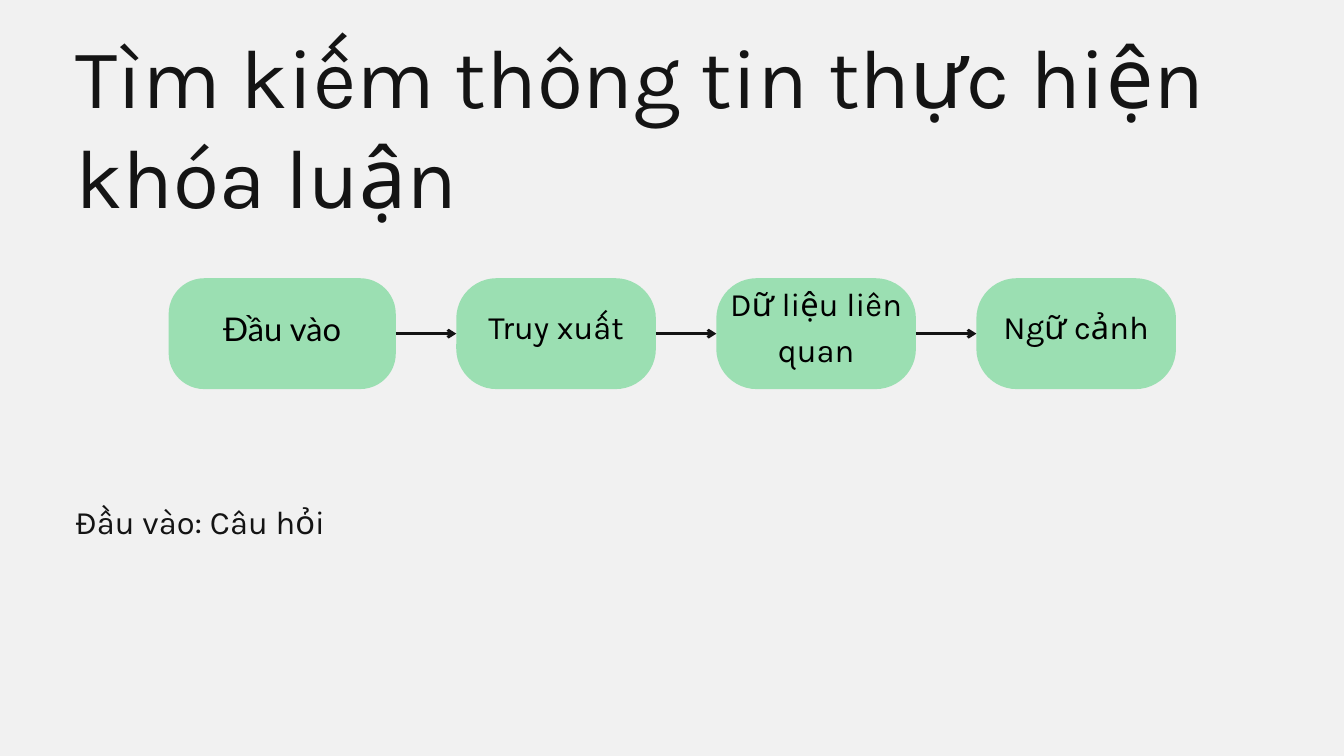
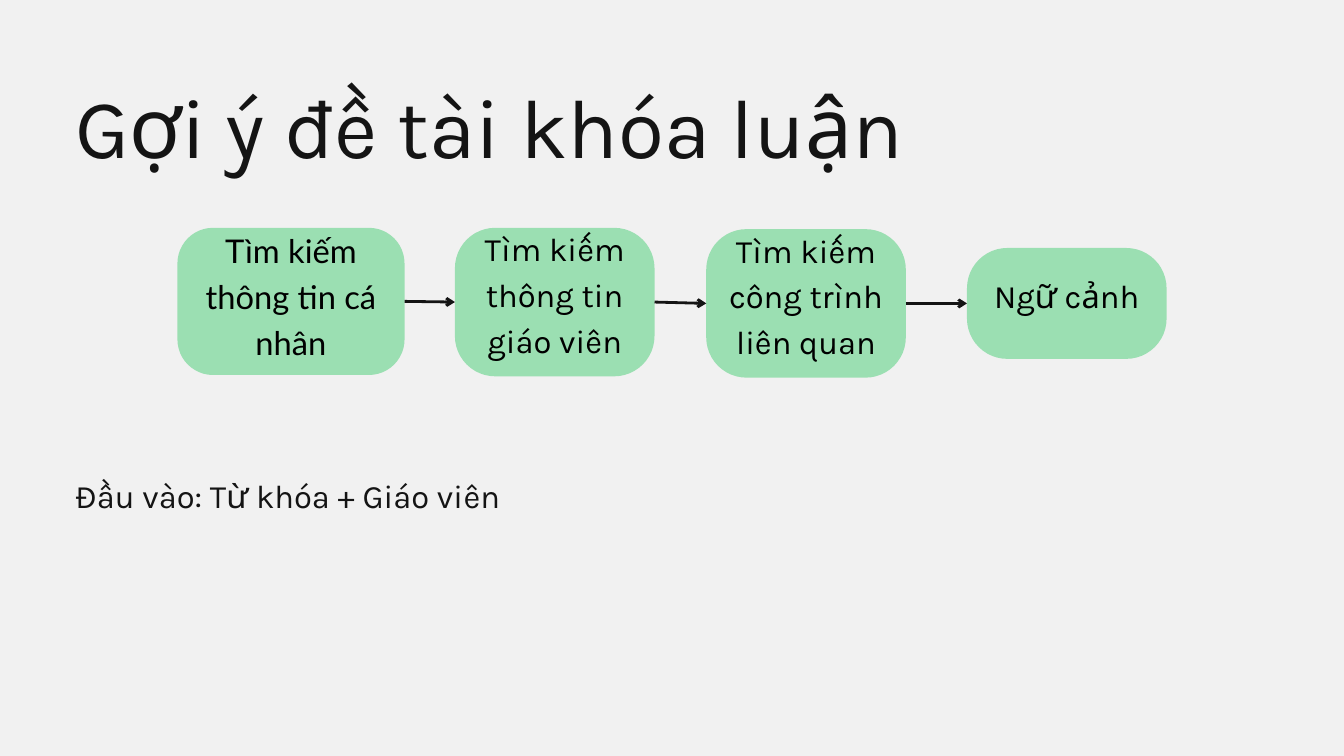
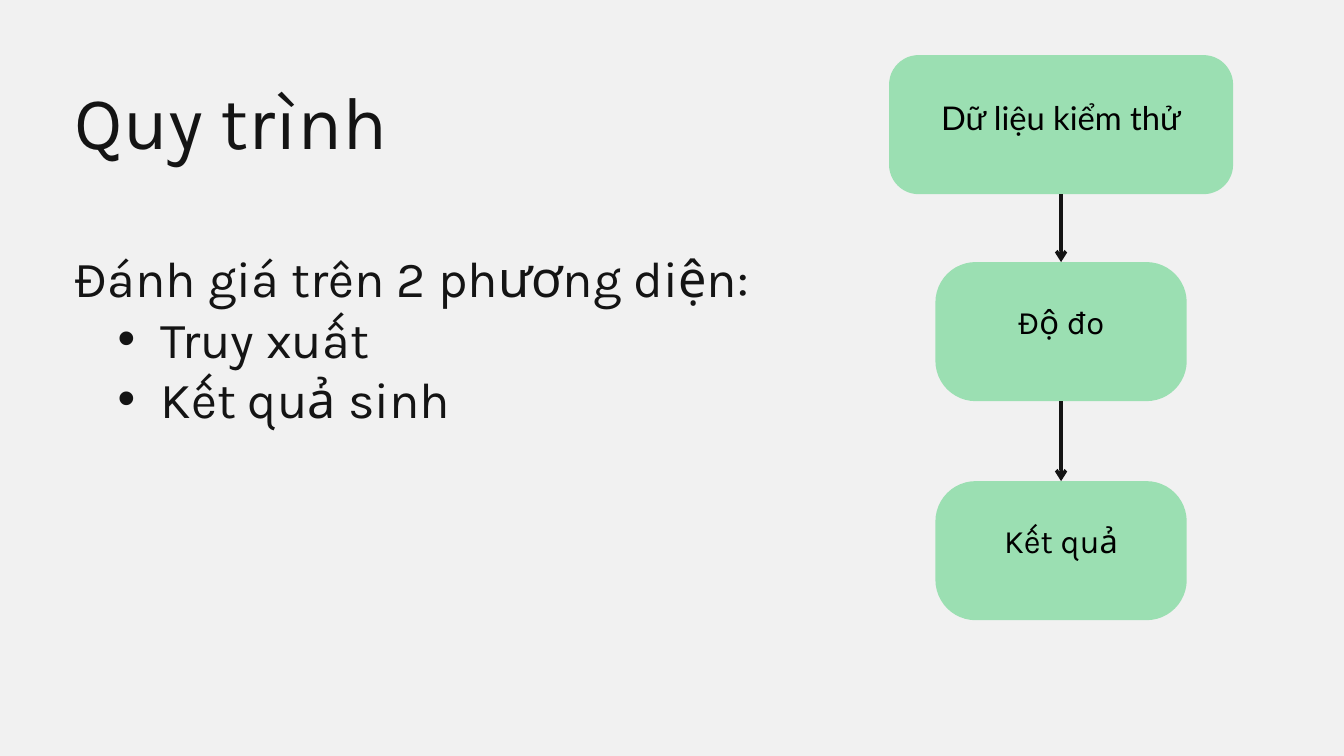
from dataclasses import dataclass
from itertools import pairwise

from lxml.etree import SubElement
from pptx import Presentation
from pptx.dml.color import RGBColor
from pptx.enum.shapes import MSO_CONNECTOR, MSO_SHAPE
from pptx.enum.text import MSO_ANCHOR, MSO_AUTO_SIZE, PP_ALIGN
from pptx.oxml.ns import qn
from pptx.presentation import Presentation as Deck
from pptx.shapes.autoshape import Shape
from pptx.slide import Slide
from pptx.text.text import _Paragraph as Paragraph
from pptx.util import Inches, Pt

TOP, LEFT, BOTTOM, RIGHT = range(4)


@dataclass(frozen=True)
class TextStyle:
    size: float
    leading: float
    color: RGBColor
    font: str = "Karla"


@dataclass(frozen=True)
class Theme:
    paper: RGBColor = RGBColor(0xF1, 0xF1, 0xF1)
    ink: RGBColor = RGBColor(0x14, 0x14, 0x14)
    green: RGBColor = RGBColor(0x9B, 0xDF, 0xB2)
    title: TextStyle = TextStyle(90, 108, ink)
    short_title: TextStyle = TextStyle(79.9, 95.8, ink)
    note: TextStyle = TextStyle(35, 50, ink)
    points: TextStyle = TextStyle(54, 64.8, ink)
    step: TextStyle = TextStyle(35, 49, RGBColor(0, 0, 0))
    first_step: TextStyle = TextStyle(35, 49, RGBColor(0, 0, 0), "Lato")


THEME = Theme()


@dataclass(frozen=True)
class Box:
    left: float
    top: float
    width: float
    height: float


@dataclass(frozen=True)
class StepKind:
    width: float
    radius: float
    headroom: float
    text: TextStyle = THEME.step


@dataclass(frozen=True)
class Step:
    label: str
    kind: StepKind
    left: float
    top: float
    height: float


@dataclass(frozen=True)
class Flow:
    steps: list[Step]
    exit_side: int
    entry_side: int
    weight: float


@dataclass(frozen=True)
class Page:
    title: str
    title_style: TextStyle
    title_box: Box
    lines: list[str]
    body_style: TextStyle
    body_box: Box
    flow: Flow


ROW_FIRST = StepKind(3.38, 0.53, 0.24, THEME.first_step)
ROW_NEXT = StepKind(2.97, 0.6, 0.32)
COLUMN_FIRST = StepKind(5.12, 0.44, 0.3, THEME.first_step)
COLUMN_NEXT = StepKind(3.74, 0.6, 0.4)


def spaced_row(labels: list[str], left: float, gap: float, top: float,
               height: float) -> list[Step]:
    steps = []
    for index, label in enumerate(labels):
        kind = ROW_NEXT if index else ROW_FIRST
        steps.append(Step(label, kind, left, top, height))
        left += kind.width + gap
    return steps


def centred_column(labels: list[str], tops: list[float], centre: float,
                   height: float) -> list[Step]:
    steps = []
    for index, (label, top) in enumerate(zip(labels, tops)):
        kind = COLUMN_NEXT if index else COLUMN_FIRST
        steps.append(Step(label, kind, centre - kind.width / 2, top, height))
    return steps


PAGES = [
    Page(
        "Tìm kiếm thông tin thực hiện khóa luận",
        THEME.title, Box(1.12, 0.36, 17.11, 3.01),
        ["Đầu vào: Câu hỏi"], THEME.note, Box(1.12, 7.36, 9.91, 0.68),
        Flow(spaced_row(["Đầu vào", "Truy xuất", "Dữ liệu liên quan", "Ngữ cảnh"],
                        2.51, 0.9, 4.14, 1.65), RIGHT, LEFT, 3),
    ),
    Page(
        "Gợi ý đề tài khóa luận",
        THEME.title, Box(1.12, 1.11, 12.77, 1.51),
        ["Đầu vào: Từ khóa + Giáo viên"], THEME.note, Box(1.12, 6.97, 9.91, 0.68),
        Flow([
            Step("Tìm kiếm thông tin cá nhân", ROW_FIRST, 2.64, 3.39, 2.19),
            Step("Tìm kiếm thông tin giáo viên", ROW_NEXT, 6.77, 3.39, 2.21),
            Step("Tìm kiếm công trình liên quan", ROW_NEXT, 10.51, 3.41, 2.21),
            Step("Ngữ cảnh", ROW_NEXT, 14.39, 3.69, 1.65),
        ], RIGHT, LEFT, 3),
    ),
    Page(
        "Quy trình",
        THEME.short_title, Box(1.11, 1.11, 10.36, 1.33),
        ["Đánh giá trên 2 phương diện:", "Truy xuất", "Kết quả sinh"],
        THEME.points, Box(1.11, 3.68, 10.22, 2.69),
        Flow(centred_column(["Dữ liệu kiểm thử", "Độ đo", "Kết quả"],
                            [0.82, 3.9, 7.16], 15.79, 2.07), BOTTOM, TOP, 3.75),
    ),
]


def style_paragraph(paragraph: Paragraph, style: TextStyle, align: PP_ALIGN) -> None:
    paragraph.alignment = align
    paragraph.line_spacing = Pt(style.leading)
    paragraph.space_before = Pt(0)
    paragraph.font.name = style.font
    paragraph.font.size = Pt(style.size)
    paragraph.font.color.rgb = style.color


def set_bullet(paragraph: Paragraph, bulleted: bool) -> None:
    properties = paragraph._p.get_or_add_pPr()
    margin = Inches(1.28) if bulleted else 0
    properties.set("marL", str(margin))
    properties.set("indent", str(-margin // 2))
    if bulleted:
        paragraph.level = 1
        SubElement(properties, qn("a:buChar")).set("char", "•")
    else:
        SubElement(properties, qn("a:buNone"))


def prepare_frame(shape: Shape, anchor: MSO_ANCHOR, bottom: float = 0) -> None:
    frame = shape.text_frame
    frame.word_wrap = True
    frame.auto_size = MSO_AUTO_SIZE.NONE
    frame.vertical_anchor = anchor
    frame.margin_left = frame.margin_right = frame.margin_top = 0
    frame.margin_bottom = Inches(bottom)


def place(shape: Shape, box: Box) -> None:
    shape.left, shape.top = Inches(box.left), Inches(box.top)
    shape.width, shape.height = Inches(box.width), Inches(box.height)


def fill_placeholder(shape: Shape, lines: list[str], style: TextStyle, box: Box) -> None:
    place(shape, box)
    prepare_frame(shape, MSO_ANCHOR.TOP)
    shape.text_frame.text = "\n".join(lines)
    for index, paragraph in enumerate(shape.text_frame.paragraphs):
        set_bullet(paragraph, index > 0)
        style_paragraph(paragraph, style, PP_ALIGN.LEFT)


def add_step(slide: Slide, step: Step) -> Shape:
    kind = step.kind
    card = slide.shapes.add_shape(
        MSO_SHAPE.ROUNDED_RECTANGLE, Inches(step.left), Inches(step.top),
        Inches(kind.width), Inches(step.height))
    card.adjustments[0] = kind.radius / min(kind.width, step.height)
    card.shadow.inherit = False
    card.fill.solid()
    card.fill.fore_color.rgb = THEME.green
    card.line.fill.background()
    prepare_frame(card, MSO_ANCHOR.MIDDLE, kind.headroom)
    card.text_frame.text = step.label
    style_paragraph(card.text_frame.paragraphs[0], kind.text, PP_ALIGN.CENTER)
    return card


def add_arrow(slide: Slide, source: Shape, target: Shape, flow: Flow) -> None:
    arrow = slide.shapes.add_connector(MSO_CONNECTOR.STRAIGHT, 0, 0, 0, 0)
    arrow.begin_connect(source, flow.exit_side)
    arrow.end_connect(target, flow.entry_side)
    arrow.line.color.rgb = THEME.ink
    arrow.line.width = Pt(flow.weight)
    SubElement(arrow.line._get_or_add_ln(), qn("a:tailEnd")).set("type", "arrow")
    SubElement(arrow._element.spPr, qn("a:effectLst"))


def add_flow(slide: Slide, flow: Flow) -> None:
    cards = [add_step(slide, step) for step in flow.steps]
    for source, target in pairwise(cards):
        add_arrow(slide, source, target, flow)


def add_page(deck: Deck, page: Page) -> None:
    slide = deck.slides.add_slide(deck.slide_layouts.get_by_name("Title and Content"))
    heading, body = slide.placeholders
    fill_placeholder(heading, [page.title], page.title_style, page.title_box)
    fill_placeholder(body, page.lines, page.body_style, page.body_box)
    add_flow(slide, page.flow)


def main() -> None:
    deck = Presentation()
    deck.slide_width, deck.slide_height = Inches(20), Inches(11.25)
    background = deck.slide_master.background.fill
    background.solid()
    background.fore_color.rgb = THEME.paper
    for page in PAGES:
        add_page(deck, page)
    deck.save("out.pptx")


if __name__ == "__main__":
    main()
